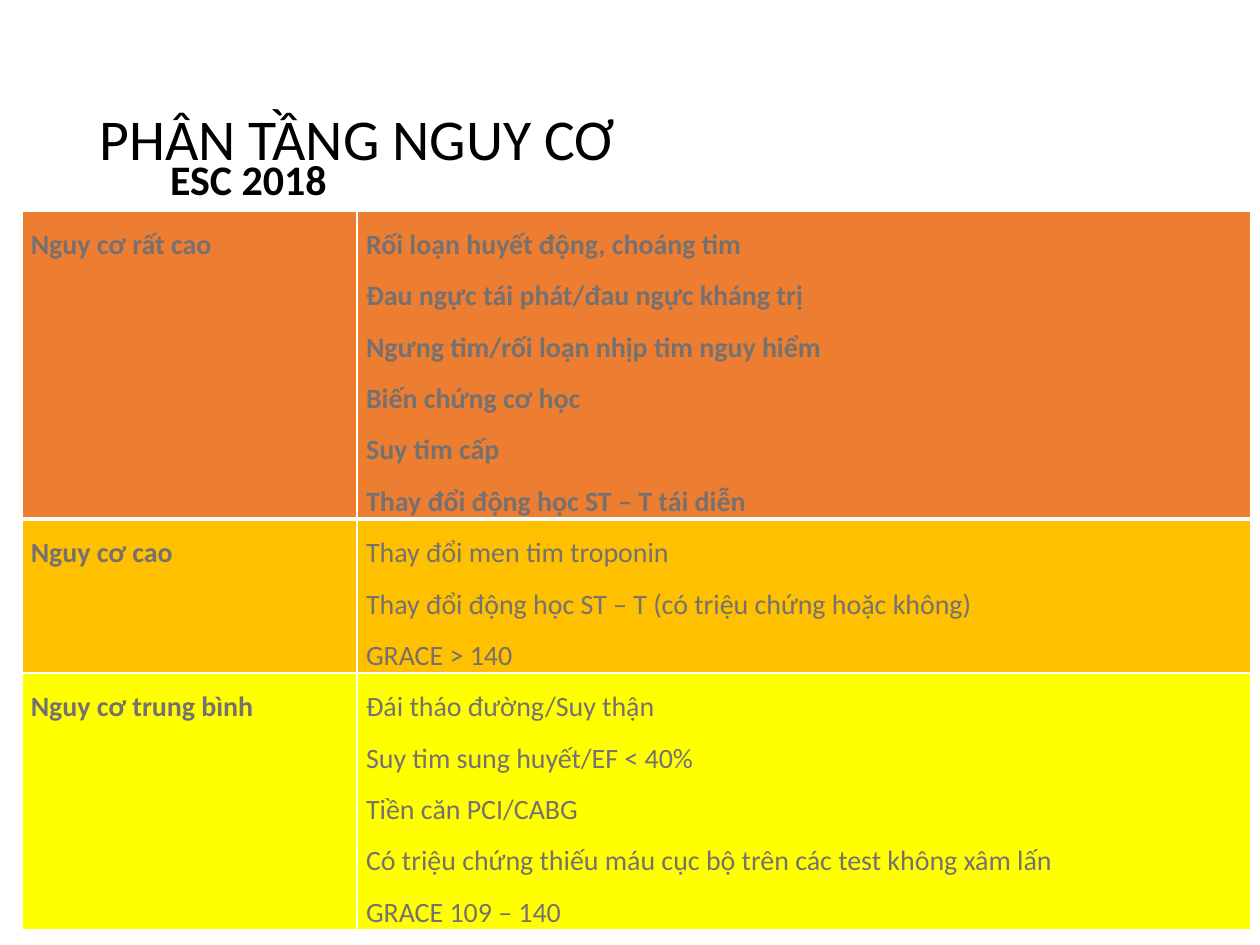
from dataclasses import dataclass

from lxml import etree
from pptx import Presentation
from pptx.dml.color import RGBColor
from pptx.enum.text import MSO_ANCHOR, MSO_AUTO_SIZE, PP_ALIGN
from pptx.oxml.ns import qn
from pptx.util import Cm, Pt

LEFT, JUSTIFY = PP_ALIGN.LEFT, PP_ALIGN.JUSTIFY
MIDDLE = MSO_ANCHOR.MIDDLE
FIT_SHAPE = MSO_AUTO_SIZE.SHAPE_TO_FIT_TEXT
FONT = "Calibri"
COLORS = {
    "heading": "000000",
    "criteria": "767171",
    "border": "FFFFFF",
    "very_high": "ED7D31",
    "high": "FFC000",
    "medium": "FFFF00",
}


@dataclass(frozen=True)
class RiskLevel:
    name: str
    criteria: tuple[str, ...]
    color: str
    height: float
    bold: bool = False
    bottom_border: float = 1


RISK_LEVELS = (
    RiskLevel(
        "Nguy cơ rất cao",
        (
            "Rối loạn huyết động, choáng tim",
            "Đau ngực tái phát/đau ngực kháng trị",
            "Ngưng tim/rối loạn nhịp tim nguy hiểm",
            "Biến chứng cơ học",
            "Suy tim cấp",
            "Thay đổi động học ST – T tái diễn",
        ),
        "very_high", 6.05, bold=True, bottom_border=3,
    ),
    RiskLevel(
        "Nguy cơ cao",
        (
            "Thay đổi men tim troponin",
            "Thay đổi động học ST – T (có triệu chứng hoặc không)",
            "GRACE > 140",
        ),
        "high", 2.84,
    ),
    RiskLevel(
        "Nguy cơ trung bình",
        (
            "Đái tháo đường/Suy thận",
            "Suy tim sung huyết/EF < 40%",
            "Tiền căn PCI/CABG",
            "Có triệu chứng thiếu máu cục bộ trên các test không xâm lấn",
            "GRACE 109 – 140",
        ),
        "medium", 5.13,
    ),
)


def add_run(paragraph, text: str, size: float, color: str, bold: bool = False) -> None:
    run = paragraph.add_run()
    run.text = text
    run.font.name = FONT
    run.font.size = Pt(size)
    run.font.bold = bold
    run.font.color.rgb = RGBColor.from_string(COLORS[color])


def set_borders(cell, widths: dict[str, float]) -> None:
    properties = cell._tc.get_or_add_tcPr()
    for position, (side, width) in enumerate(widths.items()):
        line = etree.Element(qn(f"a:{side}"), w=str(Pt(width)))
        fill = etree.SubElement(line, qn("a:solidFill"))
        etree.SubElement(fill, qn("a:srgbClr"), val=COLORS["border"])
        properties.insert(position, line)


def fill_cell(cell, lines: tuple[str, ...], level: RiskLevel, bold: bool, top: float) -> None:
    cell.margin_left = cell.margin_right = Cm(0.18)
    cell.margin_top = cell.margin_bottom = 0
    cell.fill.solid()
    cell.fill.fore_color.rgb = RGBColor.from_string(COLORS[level.color])
    set_borders(cell, {"lnL": 1, "lnR": 1, "lnT": top, "lnB": level.bottom_border})
    frame = cell.text_frame
    for index, line in enumerate(lines):
        paragraph = frame.add_paragraph() if index else frame.paragraphs[0]
        paragraph.alignment = JUSTIFY
        paragraph.line_spacing = 1.5
        add_run(paragraph, line, 16, "criteria", bold)


def add_risk_table(slide, levels: tuple[RiskLevel, ...]) -> None:
    total_height = sum(level.height for level in levels)
    table = slide.shapes.add_table(
        len(levels), 2, Cm(0.44), Cm(4.25), Cm(24.77), Cm(total_height)
    ).table
    table.first_row = table.horz_banding = False
    for column, width in zip(table.columns, (6.76, 18.01)):
        column.width = Cm(width)
    top = 1
    for row, level in zip(table.rows, levels):
        row.height = Cm(level.height)
        fill_cell(row.cells[0], (level.name,), level, True, top)
        fill_cell(row.cells[1], level.criteria, level, level.bold, top)
        top = level.bottom_border


def main() -> None:
    prs = Presentation()
    prs.slide_width, prs.slide_height = Cm(25.4), Cm(19.05)
    slide = prs.slides.add_slide(prs.slide_layouts[5])

    # Title
    title = slide.shapes.title
    title.left, title.top = Cm(1.75), Cm(1.01)
    title.width, title.height = Cm(21.9), Cm(3.68)
    title.text_frame.vertical_anchor = MIDDLE
    heading = title.text_frame.paragraphs[0]
    heading.alignment = LEFT
    heading.line_spacing = 0.9
    add_run(heading, "PHÂN TẦNG NGUY CƠ", 33, "heading")

    # Risk levels and their criteria
    add_risk_table(slide, RISK_LEVELS)

    # Guideline label
    guideline = slide.shapes.add_textbox(Cm(3.18), Cm(2.97), Cm(3.71), Cm(1.27))
    guideline.text_frame.word_wrap = False
    guideline.text_frame.auto_size = FIT_SHAPE
    add_run(guideline.text_frame.paragraphs[0], "ESC 2018", 24, "heading", True)

    prs.save("out.pptx")


if __name__ == "__main__":
    main()
